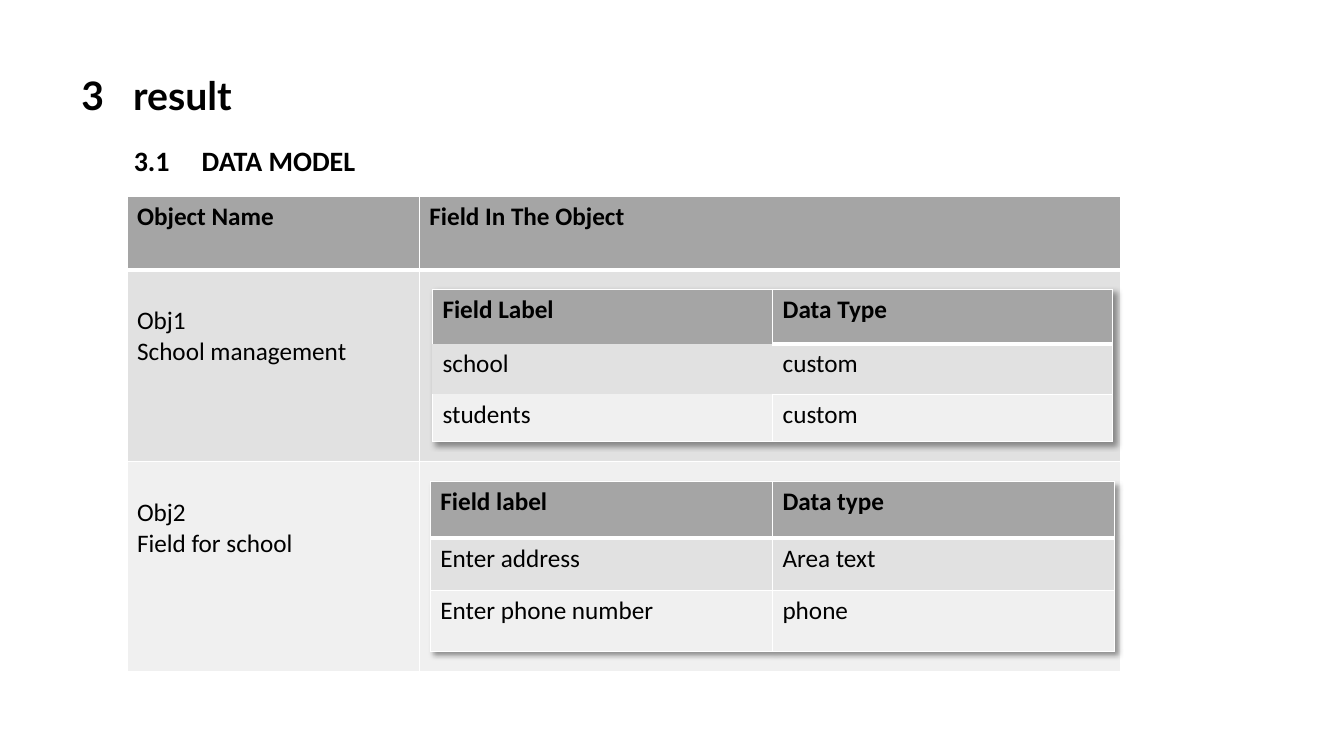
from lxml import etree
from pptx import Presentation
from pptx.dml.color import RGBColor
from pptx.enum import text
from pptx.oxml import parse_xml
from pptx.util import Pt

NS = "http://schemas.openxmlformats.org/drawingml/2006/main"
FILLS = ["A5A5A5", "E1E1E1", "F0F0F0"]


def color(hex):
    return RGBColor.from_string(hex)


def write(frame, words, size=18, font="Calibri", bold=False, tab=None, space=1.0):
    """Fill a text frame, one paragraph a line; tab is a stop in points."""
    frame.word_wrap = True
    for i, line in enumerate(words.split("\n")):
        para = frame.paragraphs[0] if i == 0 else frame.add_paragraph()
        para.line_spacing = space
        run = para.add_run()
        run.text = line
        run.font.size = Pt(size)
        run.font.name = font
        run.font.bold = bold
        run.font.color.rgb = color("000000")
        if tab:
            stops = etree.SubElement(para._p.get_or_add_pPr(), f"{{{NS}}}tabLst")
            etree.SubElement(stops, f"{{{NS}}}tab", pos=str(Pt(tab)), algn="l")


prs = Presentation()
prs.slide_width, prs.slide_height = Pt(960), Pt(540)
slide = prs.slides.add_slide(prs.slide_layouts[6])

# Headings
title = slide.shapes.add_textbox(Pt(51.1), Pt(17.3), Pt(828), Pt(104.4)).text_frame
title.vertical_anchor = text.MSO_ANCHOR.MIDDLE
write(title, "3\tresult", size=28, font="Lato", bold=True, tab=37, space=0.9)
head = slide.shapes.add_textbox(Pt(88.5), Pt(101.5), Pt(780), Pt(30)).text_frame
write(head, "3.1\tDATA MODEL", size=20, bold=True, tab=48.5, space=0.9)

# Tables: left, top, column widths, row heights, rows, shadow, sides without a line
tables = [
    (90.7, 140.4, [208.8, 501], [52.5, 136.8, 149.8],
     [["Object Name", "Field In The Object"],
      ["Obj1\nSchool management", ""],
      ["Obj2\nField for school", ""]], False, {}),
    (308.9, 206.6, [243, 243], [39, 36, 33.8],
     [["Field Label", "Data Type"],
      ["school", "custom"],
      ["students", "custom"]], True,
     {(0, 0): "B", (1, 0): "LRTB", (1, 1): "L", (2, 0): "T"}),
    (307.4, 344.2, [244.4, 244.4], [40.3, 37.4, 43.2],
     [["Field label", "Data type"],
      ["Enter address", "Area text"],
      ["Enter phone number", "phone"]], True, {}),
]

for left, top, cols, rows, words, shade, bare in tables:
    grid = slide.shapes.add_table(len(rows), len(cols), Pt(left), Pt(top),
                                  Pt(sum(cols)), Pt(sum(rows))).table
    grid.first_row = grid.horz_banding = False
    if shade:
        grid._tbl.tblPr.insert(0, parse_xml(
            f'<a:effectLst xmlns:a="{NS}"><a:outerShdw blurRad="50800" dist="38100" '
            'dir="2700000" algn="tl" rotWithShape="0"><a:prstClr val="black">'
            '<a:alpha val="40000"/></a:prstClr></a:outerShdw></a:effectLst>'))
    for col, wide in zip(grid.columns, cols):
        col.width = Pt(wide)
    for r, high in enumerate(rows):
        grid.rows[r].height = Pt(high)
        for c, label in enumerate(words[r]):
            cell = grid.cell(r, c)
            cell.fill.solid()
            cell.fill.fore_color.rgb = color(FILLS[r])
            if label:
                write(cell.text_frame, label, bold=r == 0)
            if "\n" in label:
                cell.margin_top = Pt(25.6)
            for i, side in enumerate("LRTB"):
                thick = (r, side) in [(0, "B"), (1, "T")]
                ink = ("<a:noFill/>" if side in bare.get((r, c), "") else
                       '<a:solidFill><a:srgbClr val="FFFFFF"/></a:solidFill>')
                cell._tc.get_or_add_tcPr().insert(i, parse_xml(
                    f'<a:ln{side} xmlns:a="{NS}" w="{Pt(3 if thick else 1)}">'
                    f"{ink}</a:ln{side}>"))

prs.save("out.pptx")
